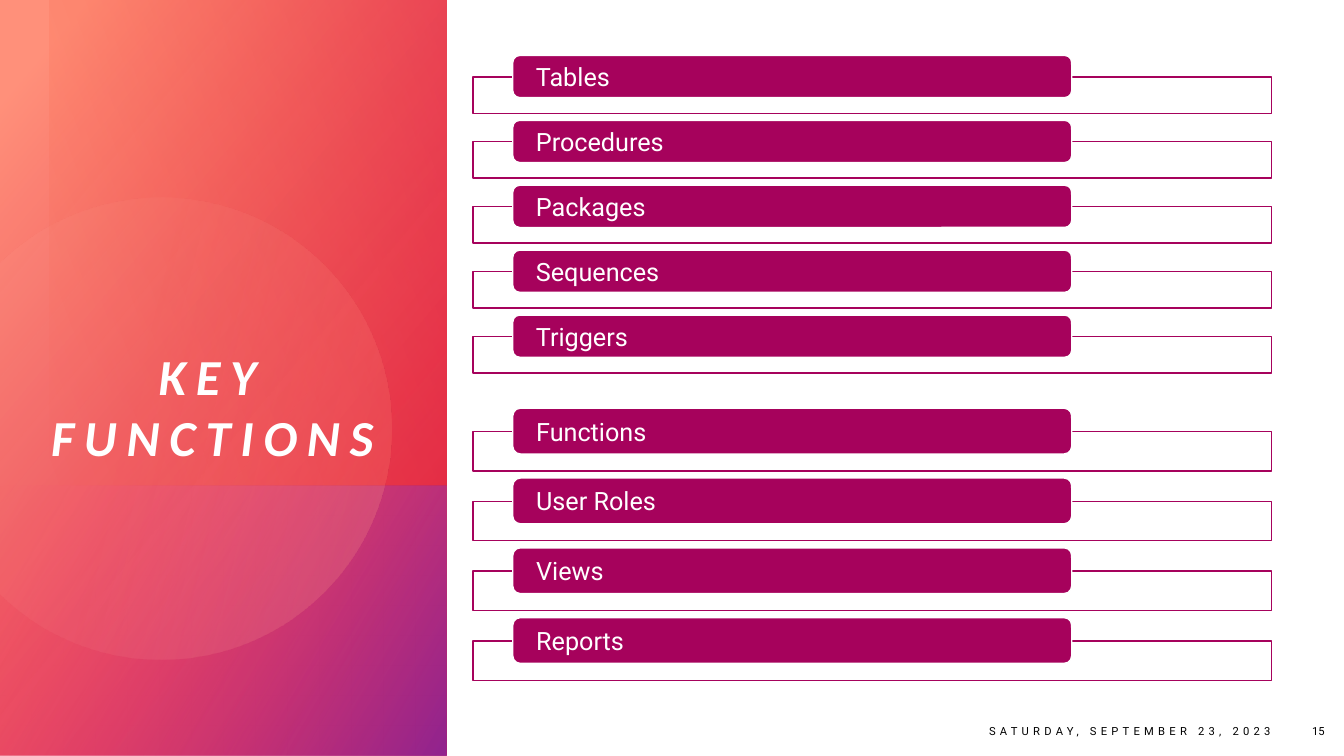
from dataclasses import dataclass
from math import acos, cos, sin

from lxml.etree import SubElement
from pptx import Presentation
from pptx.dml.color import RGBColor
from pptx.enum.shapes import MSO_SHAPE
from pptx.enum.text import MSO_ANCHOR, PP_ALIGN
from pptx.oxml.ns import qn
from pptx.util import Inches, Pt


@dataclass(frozen=True)
class Theme:
    plum: str = "A6025C"
    white: str = "FFFFFF"
    black: str = "000000"
    heading_font: str = "Calibri"
    body_font: str = "Roboto"
    heading_size: int = 36
    item_size: int = 18
    footer_size: int = 8
    panel_glow: tuple = ((8, "FF907A", 100), (100, "DA002F", 89))
    violet_glow: tuple = ((0, "FF5076", 0), (99, "92248E", 100))
    circle_glow: tuple = ((36, "FFBCAF", 6), (100, "FF907A", 26))
    red_glow: tuple = ((0, "DA002F", 29), (100, "FE4A00", 0))


@dataclass(frozen=True)
class Box:
    left: float
    top: float
    width: float
    height: float

    def share(self, x, y, width, height):
        return Box(self.left + x * self.width, self.top + y * self.height,
                   width * self.width, height * self.height)

    def emu(self):
        return [Inches(side) for side in (self.left, self.top, self.width, self.height)]


THEME = Theme()
PAGE = Box(0, 0, 13.33, 7.5)
GROUPS = (
    (Box(4.69, 0.55, 7.92, 3.15), ("Tables", "Procedures", "Packages", "Sequences", "Triggers")),
    (Box(4.69, 4.05, 7.92, 2.7), ("Functions", "User Roles", "Views", "Reports")),
)
ROW_GAP = 0.07


def paint_gradient(shape, stops, clockwise_angle):
    shape.shadow.inherit = False
    shape.line.fill.background()
    shape.fill.gradient()
    shape.fill.gradient_angle = -clockwise_angle % 360
    for stop, (position, color, _) in zip(shape.fill.gradient_stops, stops):
        stop.position = position / 100
        stop.color.rgb = RGBColor.from_string(color)
    colors = list(shape.element.spPr.iter(qn("a:srgbClr")))
    for color, (_, _, opacity) in zip(colors, stops):
        SubElement(color, qn("a:alpha")).set("val", str(opacity * 1000))


def add_block(slide, kind, box, fill, line):
    block = slide.shapes.add_shape(kind, *box.emu())
    block.shadow.inherit = False
    block.fill.solid()
    block.fill.fore_color.rgb = RGBColor.from_string(fill)
    block.line.color.rgb = RGBColor.from_string(line)
    block.line.width = Pt(1)
    return block


def write(shape, words, font, size, color, align, anchor, inset, spacing=0):
    frame = shape.text_frame
    frame.word_wrap = True
    frame.vertical_anchor = anchor
    frame.margin_left = frame.margin_right = Inches(inset)
    frame.margin_top = frame.margin_bottom = 0
    frame.text = words
    paragraph = frame.paragraphs[0]
    paragraph.alignment = align
    run = paragraph.runs[0]
    run.font.name = font
    run.font.size = Pt(size)
    run.font.color.rgb = RGBColor.from_string(color)
    if spacing:
        run.font._element.set("spc", str(spacing * 100))
    return run


def add_clipped_circle(slide, box):
    radius = 0.305 * box.height
    center_x, center_y = box.left + 0.36 * box.width, box.top + 0.567 * box.height
    reach = acos((box.left - center_x) / radius)
    steps = 120
    angles = [reach * (2 * step / steps - 1) for step in range(steps + 1)]
    points = [(Inches(center_x + radius * cos(angle)), Inches(center_y + radius * sin(angle)))
              for angle in angles]
    builder = slide.shapes.build_freeform(*points[0])
    builder.add_line_segments(points[1:], close=True)
    paint_gradient(builder.convert_to_shape(), THEME.circle_glow, 14)


def add_title_panel(slide, box):
    def glow(area, stops, angle):
        paint_gradient(slide.shapes.add_shape(MSO_SHAPE.RECTANGLE, *area.emu()), stops, angle)

    glow(box, THEME.panel_glow, 40)
    glow(box.share(0, 0.642, 1, 0.358), THEME.violet_glow, 30)
    add_clipped_circle(slide, box)
    glow(box.share(0.112, 0, 0.888, 0.642), THEME.red_glow, 160)
    title = slide.shapes.add_textbox(*box.share(0, 0.127, 0.952, 0.49).emu())
    run = write(title, "KEY FUNCTIONS", THEME.heading_font, THEME.heading_size, THEME.white,
                PP_ALIGN.CENTER, MSO_ANCHOR.BOTTOM, 0, 7)
    run.font.bold = run.font.italic = True


def add_function_list(slide, box, names):
    row_height = (box.height - ROW_GAP * (len(names) - 1)) / len(names)
    for index, name in enumerate(names):
        row = Box(box.left, box.top + index * (row_height + ROW_GAP), box.width, row_height)
        add_block(slide, MSO_SHAPE.RECTANGLE, row.share(0, 0.37, 1, 0.63),
                  THEME.white, THEME.plum)
        label = add_block(slide, MSO_SHAPE.ROUNDED_RECTANGLE, row.share(0.05, 0, 0.7, 0.73),
                          THEME.plum, THEME.white)
        write(label, name, THEME.body_font, THEME.item_size, THEME.white,
              PP_ALIGN.LEFT, MSO_ANCHOR.MIDDLE, 0.21)


def add_footer(slide, box):
    for words, left, width, spacing in (("SATURDAY, SEPTEMBER 23, 2023", 0.649, 0.304, 3),
                                        ("15", 0.957, 0.036, 0)):
        note = slide.shapes.add_textbox(*box.share(left, 0, width, 1).emu())
        write(note, words, THEME.body_font, THEME.footer_size, THEME.black,
              PP_ALIGN.RIGHT, MSO_ANCHOR.MIDDLE, 0.1, spacing)


def main():
    deck = Presentation()
    deck.slide_width, deck.slide_height = Inches(PAGE.width), Inches(PAGE.height)
    slide = deck.slides.add_slide(deck.slide_layouts[6])
    add_title_panel(slide, PAGE.share(0, 0, 0.332, 1))
    for box, names in GROUPS:
        add_function_list(slide, box, names)
    add_footer(slide, PAGE.share(0, 0.934, 1, 0.065))
    deck.save("out.pptx")


if __name__ == "__main__":
    main()
